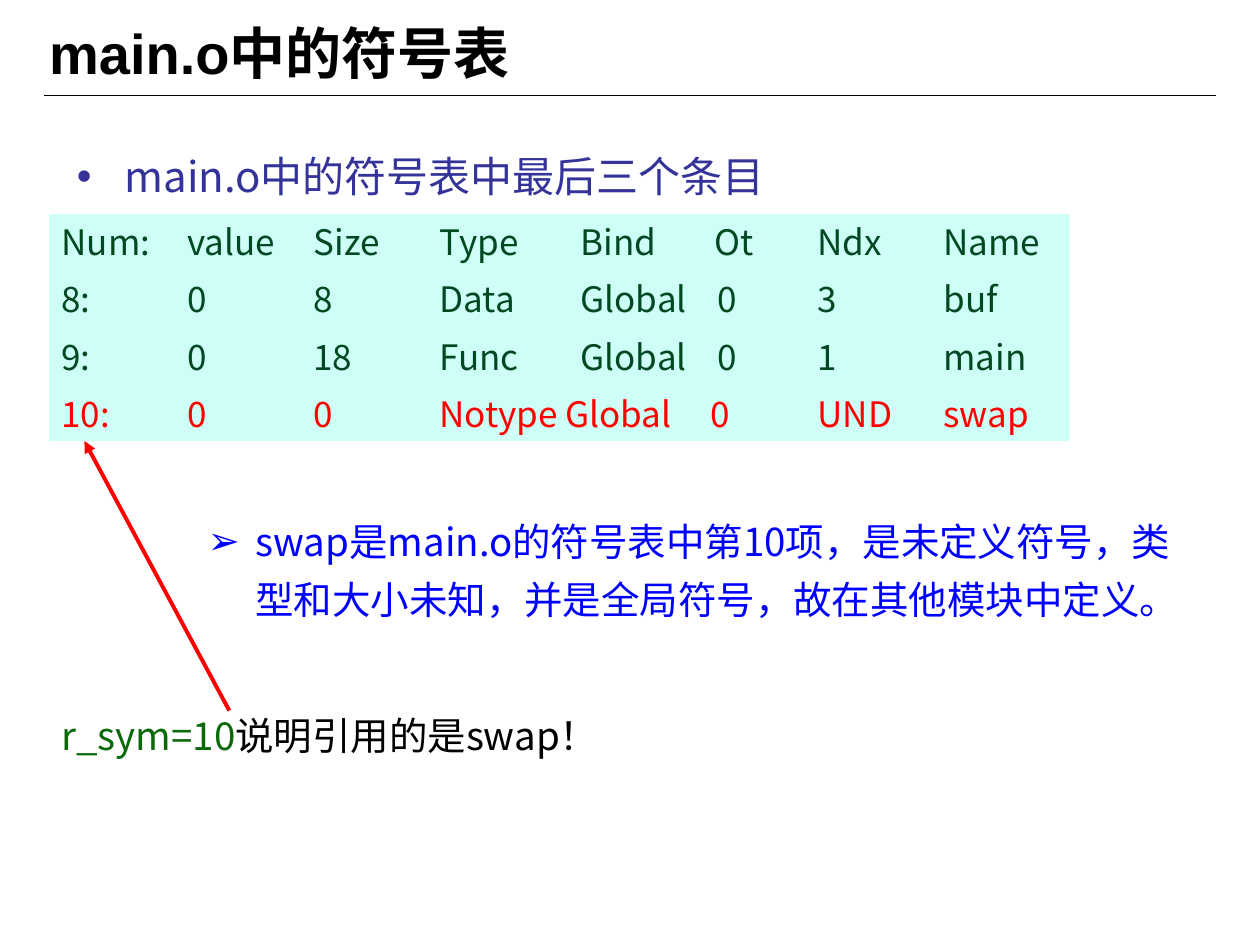
from lxml.etree import SubElement
from pptx import Presentation
from pptx.dml.color import RGBColor
from pptx.enum.shapes import MSO_CONNECTOR, MSO_SHAPE
from pptx.enum.text import MSO_ANCHOR, MSO_AUTO_SIZE, PP_ALIGN
from pptx.oxml.ns import qn
from pptx.util import Inches, Pt

COLS, ROWS = 100, 75
SANS, HEAD = "Noto Sans CJK SC", "Arial"


def tint(code):
    return RGBColor.from_string(code)


class Deck:
    def __init__(self):
        self.show = Presentation()
        self.show.slide_width = Inches(10)
        self.show.slide_height = Inches(7.5)
        self.slide = self.show.slides.add_slide(self.show.slide_layouts[1])

    def spot(self, col, row):
        return (int(self.show.slide_width * col / COLS),
                int(self.show.slide_height * row / ROWS))

    def style(self, para, size, color, font=SANS, bold=False):
        for run in para.runs:
            run.font.size = Pt(size)
            run.font.bold = bold
            run.font.name = font
            run.font.color.rgb = tint(color)
            SubElement(run.font._element, qn("a:ea"), typeface=SANS)

    def frame(self, shape, anchor=MSO_ANCHOR.TOP):
        text = shape.text_frame
        text.word_wrap = True
        text.auto_size = MSO_AUTO_SIZE.NONE
        text.vertical_anchor = anchor
        return text

    def place(self, shape, at):
        shape.left, shape.top = self.spot(*at[:2])
        shape.width, shape.height = self.spot(*at[2:])
        return shape

    def bullet(self, para, mark, color, size, lead):
        para.line_spacing = Pt(lead)
        props = para._p.get_or_add_pPr()
        props.set("marL", str(Inches(0.38)))
        props.set("indent", str(Inches(-0.38)))
        hue = SubElement(props, qn("a:buClr"))
        SubElement(hue, qn("a:srgbClr"), val=color)
        SubElement(props, qn("a:buFont"), typeface=HEAD)
        SubElement(props, qn("a:buChar"), char=mark)
        self.style(para, size, color)

    def title(self, text, at):
        shape = self.place(self.slide.shapes.title, at)
        self.frame(shape, MSO_ANCHOR.MIDDLE).text = text
        para = shape.text_frame.paragraphs[0]
        para.alignment = PP_ALIGN.LEFT
        self.style(para, 32, "000000", HEAD, True)

    def body(self, text, at):
        shape = self.place(self.slide.placeholders[1], at)
        self.frame(shape).text = text
        para = shape.text_frame.paragraphs[0]
        para.space_before = Pt(0)
        self.bullet(para, "•", "333399", 24, 32)

    def box(self, at):
        spot = self.spot(*at[:2]) + self.spot(*at[2:])
        return self.frame(self.slide.shapes.add_textbox(*spot))

    def note(self, text, at):
        text_frame = self.box(at)
        text_frame.text = text
        self.bullet(text_frame.paragraphs[0], "➢", "0000FF", 22, 33)

    def remark(self, parts, at):
        para = self.box(at).paragraphs[0]
        para.line_spacing = Pt(27)
        for text, color in parts:
            para.add_run().text = text
            self.style(para, 22, color) if len(para.runs) == 1 else None
        last = para.runs[-1].font
        last.size, last.name = Pt(22), SANS
        last.color.rgb = tint(parts[-1][1])
        SubElement(last._element, qn("a:ea"), typeface=SANS)

    def panel(self, rows, at):
        spot = self.spot(*at[:2]) + self.spot(*at[2:])
        shape = self.slide.shapes.add_shape(MSO_SHAPE.RECTANGLE, *spot)
        shape.shadow.inherit = False
        shape.fill.solid()
        shape.fill.fore_color.rgb = tint("CDFFF7")
        shape.line.fill.background()
        text = self.frame(shape)
        text.text = "\n".join("\t".join(cells) for cells, *_ in rows)
        for i, (para, (_, bind, other, color)) in enumerate(zip(text.paragraphs, rows)):
            para.alignment = PP_ALIGN.LEFT
            para.line_spacing = Pt(24)
            para.space_before = Pt(8.8 if i else 0)
            tabs = SubElement(para._p.get_or_add_pPr(), qn("a:tabLst"))
            for stop in (1, 2, 3, bind, other, 6, 7):
                SubElement(tabs, qn("a:tab"), pos=str(Inches(stop)), algn="l")
            self.style(para, 20, color)

    def line(self, start, end, color, width, arrow=False):
        link = self.slide.shapes.add_connector(
            MSO_CONNECTOR.STRAIGHT, *self.spot(*start), *self.spot(*end))
        link.line.color.rgb = tint(color)
        link.line.width = Pt(width)
        if arrow:
            SubElement(link.line._get_or_add_ln(), qn("a:tailEnd"), type="triangle")
        SubElement(link._element.spPr, qn("a:effectLst"))


def main():
    deck = Deck()
    green, red = "004821", "FF0000"
    deck.line((3.5, 7.6), (96.5, 7.6), "000000", 0.75)
    deck.title("main.o中的符号表", (2.9, 1.1, 90, 6.1))
    deck.body("main.o中的符号表中最后三个条目", (5.1, 11, 90, 5.2))
    deck.panel([
        (("Num:", "value", "Size", "Type", "Bind", "Ot", "Ndx", "Name"), 4.12, 5.18, green),
        (("8:", "0", "8", "Data", "Global", "0", "3", "buf"), 4.12, 5.21, green),
        (("9:", "0", "18", "Func", "Global", "0", "1", "main"), 4.12, 5.21, green),
        (("10:", "0", "0", "Notype", "Global", "0", "UND", "swap"), 4, 5.15, red),
    ], (3.9, 17, 81, 18))
    deck.note("swap是main.o的符号表中第10项，是未定义符号，类型和大小未知，"
              "并是全局符号，故在其他模块中定义。", (15.5, 39.7, 79.7, 10.2))
    deck.remark([("r_sym=10", "0A6A0A"), ("说明引用的是swap！", "000000")],
                (3.9, 55.9, 76.3, 4.6))
    deck.line((18.2, 56.4), (6.7, 35), red, 2.25, True)
    deck.show.save("out.pptx")


if __name__ == "__main__":
    main()
